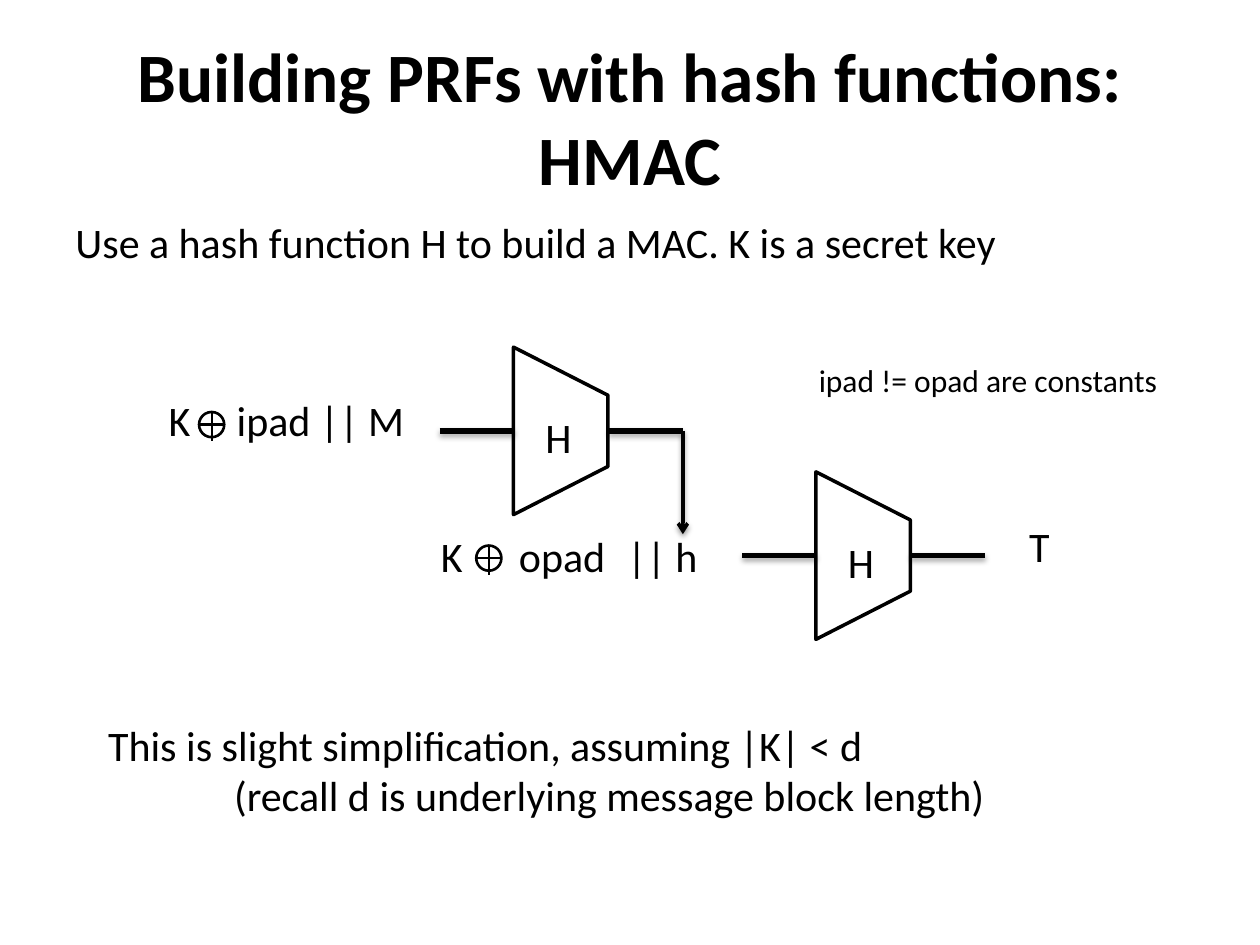
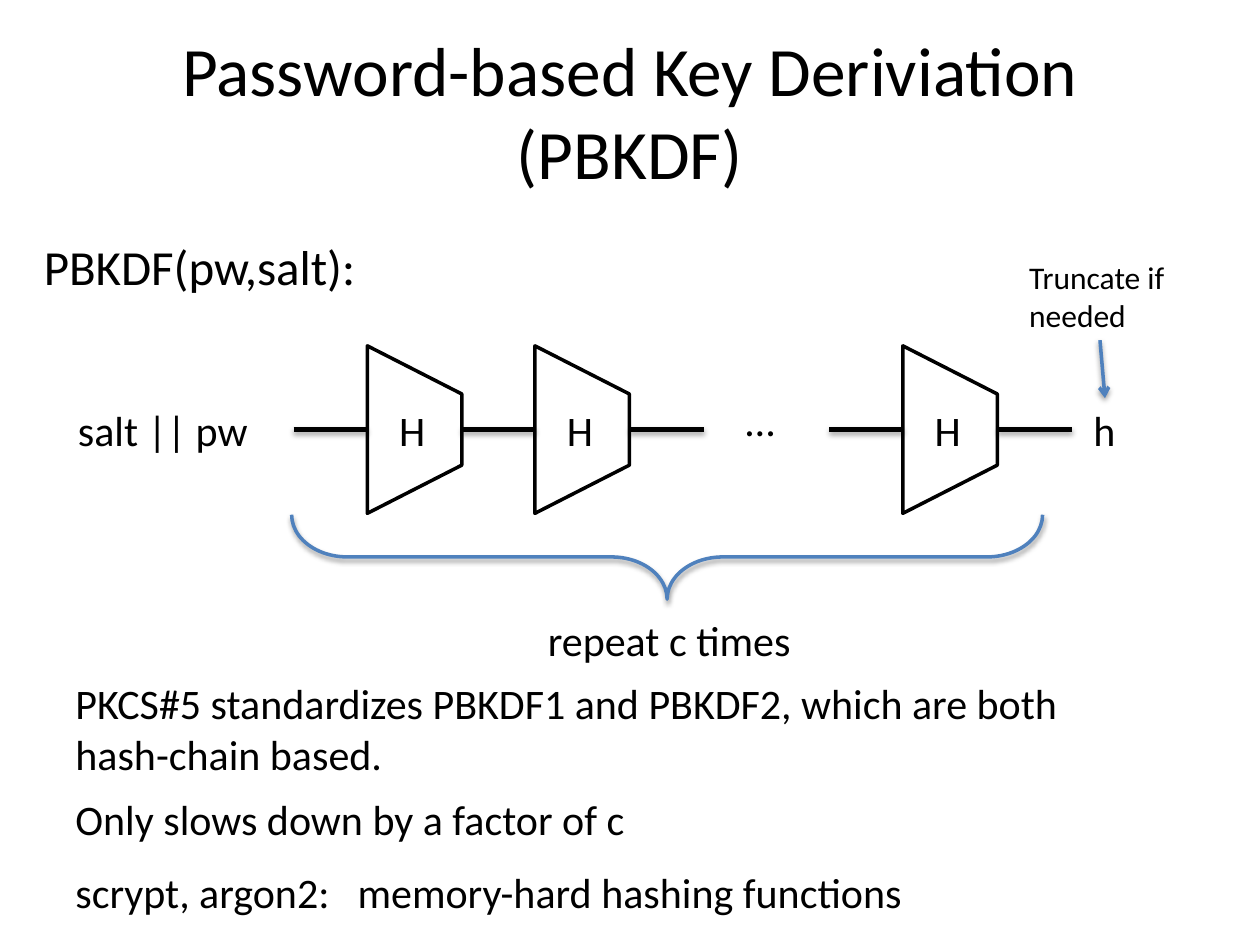
from dataclasses import dataclass
from lxml.etree import SubElement
from pptx import Presentation
from pptx.dml.color import RGBColor
from pptx.enum.shapes import MSO_CONNECTOR, MSO_SHAPE
from pptx.enum.text import MSO_ANCHOR, MSO_AUTO_SIZE, PP_ALIGN
from pptx.oxml.ns import qn
from pptx.util import Inches, Pt


@dataclass(frozen=True)
class Theme:
    font: str = "Calibri"
    ink: RGBColor = RGBColor(0, 0, 0)
    paper: RGBColor = RGBColor(255, 255, 255)
    blue: RGBColor = RGBColor(0x4F, 0x81, 0xBD)
    title: float = 39.6
    lead: int = 28
    body: int = 24
    note: int = 18
    # Shadow opacity in percent, then distance in points
    wire: tuple = (35, 1.8)
    arrow: tuple = (38, 1.6)


class Deck:
    def __init__(self, theme):
        self.theme = theme
        self.prs = Presentation()
        self.prs.slide_width, self.prs.slide_height = Inches(10), Inches(7.5)
        self.slide = None

    def start(self, title, top, bold=False):
        """Add a slide with a centred title."""
        self.slide = self.prs.slides.add_slide(self.prs.slide_layouts[5])
        head = self.slide.shapes.title
        head.left, head.top = Inches(0.5), Inches(top)
        head.width, head.height = Inches(9), Inches(1.25)
        frame = head.text_frame
        frame.auto_size = MSO_AUTO_SIZE.NONE
        frame.vertical_anchor = MSO_ANCHOR.MIDDLE
        para = frame.paragraphs[0]
        para.alignment = PP_ALIGN.CENTER
        self.run(para, title, self.theme.title, bold)

    def run(self, para, text, size, bold=False):
        run = para.add_run()
        run.text = text
        font = run.font
        font.name, font.size, font.bold = self.theme.font, Pt(size), bold
        font.color.rgb = self.theme.ink

    def text(self, x, y, w, h, *lines, size=None, tabs=(), dent=0):
        """Add a text box; dent indents every line after the first."""
        box = self.slide.shapes.add_textbox(
            Inches(x), Inches(y), Inches(w + 0.1), Inches(h))
        frame = box.text_frame
        frame.word_wrap = True
        for i, line in enumerate(lines):
            para = frame.add_paragraph() if i else frame.paragraphs[0]
            props = para._p.get_or_add_pPr()
            if i and dent:
                props.set("marL", str(Inches(dent)))
            if tabs:
                stops = SubElement(props, qn("a:tabLst"))
                for stop in tabs:
                    SubElement(stops, qn("a:tab"), pos=str(Inches(stop)), algn="l")
            self.run(para, line, size or self.theme.body)

    def shade(self, item, cast=None):
        """Replace the theme shadow with the given one, or with none."""
        effects = SubElement(item.element.spPr, qn("a:effectLst"))
        if cast:
            alpha, dist = cast
            outer = SubElement(
                effects, qn("a:outerShdw"), blurRad=str(Pt(3.1)),
                dist=str(Pt(dist)), dir="5400000", rotWithShape="0")
            tint = SubElement(outer, qn("a:srgbClr"), val=str(self.theme.ink))
            SubElement(tint, qn("a:alpha"), val=str(alpha * 1000))

    def line(self, x1, y1, x2, y2, width, color=None, cast=None, arrow=False):
        item = self.slide.shapes.add_connector(
            MSO_CONNECTOR.STRAIGHT, Inches(x1), Inches(y1), Inches(x2), Inches(y2))
        item.line.color.rgb = color or self.theme.ink
        item.line.width = Pt(width)
        if arrow:
            SubElement(item.line._get_or_add_ln(), qn("a:tailEnd"), type="arrow")
        self.shade(item, cast)

    def wire(self, x1, x2, y):
        self.line(x1, y, x2, y, 3, cast=self.theme.wire)

    def arrow(self, x1, y1, x2, y2, color=None):
        self.line(x1, y1, x2, y2, 2, color, self.theme.arrow, True)

    def shape(self, kind, x, y, w, h, width, color=None, fill=None,
              turn=0, adjust=(), cast=None):
        item = self.slide.shapes.add_shape(
            kind, Inches(x), Inches(y), Inches(w), Inches(h))
        item.rotation = turn
        for i, value in enumerate(adjust):
            item.adjustments[i] = value
        if fill is None:
            item.fill.background()
        else:
            item.fill.solid()
            item.fill.fore_color.rgb = fill
        item.line.color.rgb = color or self.theme.ink
        item.line.width = Pt(width)
        self.shade(item, cast)

    def hash(self, x, y, drop, out=True):
        """Draw a hash block centred on x, y, with its wires and label."""
        w, h = 1.33, 0.75
        self.shape(MSO_SHAPE.TRAPEZOID, x - w / 2, y - h / 2, w, h, 2,
                   fill=self.theme.paper, turn=90, adjust=[0.51])
        self.wire(x - 0.96, x - 0.37, y)
        if out:
            self.wire(x + 0.38, x + 0.97, y)
        self.text(x - 0.22, y - drop, 0.41, 0.5, "H")

    def xor(self, x, y):
        """Draw a circled plus centred on x, y."""
        r = 0.1
        self.line(x, y - r, x, y + 0.13, 1.25)
        self.shape(MSO_SHAPE.OVAL, x - r, y - r, 2 * r, 2 * r, 1.5)
        self.line(x - r, y, x + r, y, 1.5)


def hmac(deck):
    deck.start("Building PRFs with hash functions: HMAC", 0.3, bold=True)
    deck.text(0.5, 1.67, 7.61, 0.5,
              "Use a hash function H to build a MAC. K is a secret key")

    # Inner and outer hash
    for x, y in ((4.45, 3.42), (6.85, 4.41)):
        deck.hash(x, y, 0.2)
    deck.arrow(5.42, 3.42, 5.42, 4.24)

    # Inputs and tag
    deck.text(1.24, 3.08, 2.1, 0.5, "K\tipad || M", tabs=[0.54])
    deck.xor(1.68, 3.37)
    deck.text(3.4, 4.16, 2.24, 0.5, "K\topad\t|| h", tabs=[0.62, 1.48])
    deck.xor(3.88, 4.43)
    deck.text(8.07, 4.08, 0.37, 0.5, "T")

    # Remarks
    deck.text(6.4, 2.82, 2.93, 0.4, "ipad != opad are constants",
              size=deck.theme.note)
    deck.text(0.76, 5.66, 7.24, 0.91,
              "This is slight simplification, assuming |K| < d",
              "(recall d is underlying message block length)", dent=1)


def pbkdf(deck):
    theme = deck.theme
    deck.start("Password-based Key Deriviation (PBKDF)", 0.25)
    deck.text(0.25, 1.83, 2.74, 0.57, "PBKDF(pw,salt):", size=theme.lead)

    # Hash chain; the second block's input wire joins the first two
    for x, out in ((3.29, False), (4.62, True), (7.54, True)):
        deck.hash(x, 3.41, 0.25, out)
    deck.text(0.52, 3.16, 1.56, 0.5, "salt || pw")
    deck.text(5.82, 3.08, 0.43, 0.5, "…")
    deck.text(8.58, 3.16, 0.38, 0.5, "h")

    # Truncation note
    deck.text(8.07, 2, 1.31, 0.71, "Truncate if", "needed", size=theme.note)
    deck.arrow(8.73, 2.7, 8.77, 3.16, theme.blue)

    # Repeat brace
    deck.shape(MSO_SHAPE.LEFT_BRACE, 4.96, 1.44, 0.67, 5.96, 2, theme.blue,
               turn=270, adjust=[0.66, 0.5], cast=theme.arrow)
    deck.text(4.25, 4.83, 2.16, 0.5, "repeat c times")

    # Remarks
    deck.text(0.5, 5.33, 8.15, 0.91,
              "PKCS#5 standardizes PBKDF1 and PBKDF2, which are both "
              "hash-chain based.")
    deck.text(0.5, 6.25, 8.15, 0.5, "Only slows down by a factor of c")
    deck.text(0.5, 6.83, 8.15, 0.5,
              "scrypt, argon2:\tmemory-hard hashing functions", tabs=[2.24])


def main():
    deck = Deck(Theme())
    hmac(deck)
    pbkdf(deck)
    deck.prs.save("out.pptx")


if __name__ == "__main__":
    main()
